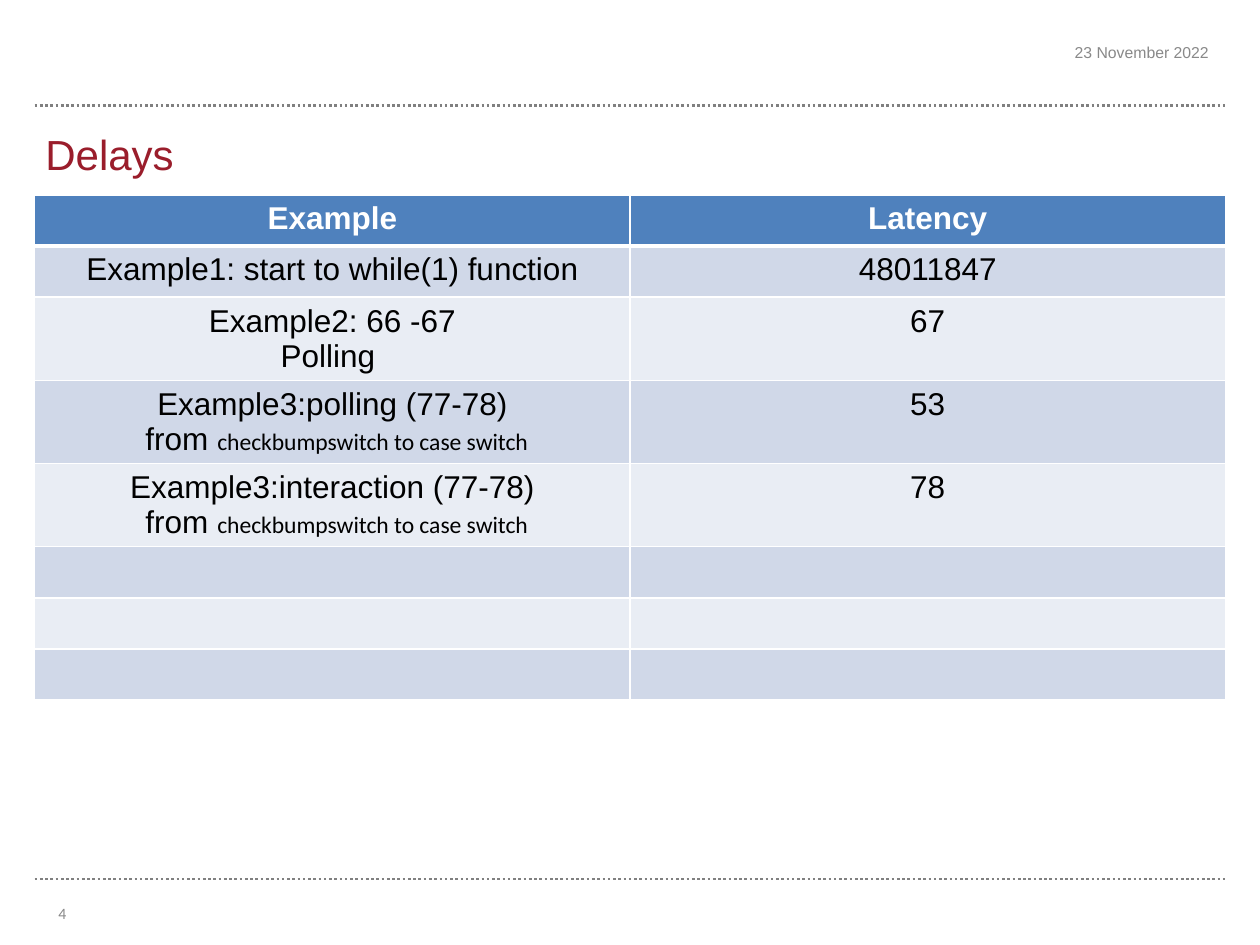
from lxml.etree import SubElement
from pptx import Presentation
from pptx.dml.color import RGBColor
from pptx.enum.dml import MSO_LINE
from pptx.enum.shapes import MSO_CONNECTOR
from pptx.enum.text import MSO_ANCHOR, PP_ALIGN
from pptx.oxml import parse_xml
from pptx.oxml.ns import nsdecls, qn
from pptx.util import Pt


def color(value):
    return RGBColor.from_string(value)


def style(span, size, name, value, bold=False):
    span.font.size = Pt(size)
    span.font.name = name
    span.font.bold = bold
    span.font.color.rgb = color(value)


deck = Presentation()
deck.slide_width, deck.slide_height = Pt(720), Pt(540)
page = deck.slides.add_slide(deck.slide_layouts[5])

for y in (60.3, 502.4):
    rule = page.shapes.add_connector(MSO_CONNECTOR.STRAIGHT, Pt(19.8), Pt(y), Pt(700.2), Pt(y))
    rule.line.color.rgb = color("808080")
    rule.line.width = Pt(1.5)
    rule.line.dash_style = MSO_LINE.ROUND_DOT
    SubElement(rule.element.spPr, qn("a:effectLst"))

title = page.shapes.title
title.left, title.top, title.width, title.height = Pt(18.7), Pt(60.5), Pt(681), Pt(45.4)
title.text_frame.text = "Delays"
title.text_frame.vertical_anchor = MSO_ANCHOR.BOTTOM
heading = title.text_frame.paragraphs[0]
heading.alignment = PP_ALIGN.LEFT
style(heading.runs[0], 24, "Arial", "9A1D2B")

switch_span = "checkbumpswitch to case switch"
rows = [
    ([["Example"]], "Latency"),
    ([["Example1: start to while(1) function"]], "48011847"),
    ([["Example2: 66 -67"], ["Polling "]], "67"),
    ([["Example3:polling (77-78)"], [" from ", switch_span]], "53"),
    ([["Example3:interaction (77-78)"], [" from ", switch_span]], "78"),
    ([], ""),
    ([], ""),
    ([], ""),
]
frame = page.shapes.add_table(len(rows), 2, Pt(19.8), Pt(111.4), Pt(680.4), Pt(265))
table = frame.table
for column in table.columns:
    column.width = Pt(340.2)
for index, (example, latency) in enumerate(rows):
    table.rows[index].height = Pt(29.2)
    header = index == 0
    fill = "4F81BD" if header else ("E9EDF4", "D0D8E8")[index % 2]
    contents = (example, [[latency]] if latency else [])
    for cell, paragraphs in zip(table.rows[index].cells, contents):
        cell.fill.solid()
        cell.fill.fore_color.rgb = color(fill)
        for place, side in enumerate("LRTB"):
            thick = (header and side == "B") or (index == 1 and side == "T")
            width = Pt(3 if thick else 1)
            border = parse_xml(
                f'<a:ln{side} {nsdecls("a")} w="{width}"><a:solidFill>'
                f'<a:srgbClr val="FFFFFF"/></a:solidFill></a:ln{side}>')
            cell.fill._xPr.insert(place, border)
        for number, texts in enumerate(paragraphs):
            body = cell.text_frame
            para = body.add_paragraph() if number else body.paragraphs[0]
            para.alignment = PP_ALIGN.CENTER
            for text in texts:
                span = para.add_run()
                span.text = text
                size, name = (13.5, "Calibri") if text == switch_span else (18, "Arial")
                style(span, size, name, "FFFFFF" if header else "000000", header)

labels = [
    ("4", 7.2, 507.6, 56.9, 28.8, PP_ALIGN.CENTER, MSO_ANCHOR.MIDDLE, "Calibri"),
    ("23 November 2022", 569.5, 20.9, 128.2, 17.3, PP_ALIGN.RIGHT, MSO_ANCHOR.TOP, "Arial"),
]
for text, left, top, width, height, align, anchor, name in labels:
    box = page.shapes.add_textbox(Pt(left), Pt(top), Pt(width), Pt(height))
    box.text_frame.word_wrap = True
    box.text_frame.vertical_anchor = anchor
    box.text_frame.text = text
    para = box.text_frame.paragraphs[0]
    para.alignment = align
    style(para.runs[0], 9, name, "898989")

deck.save("out.pptx")
